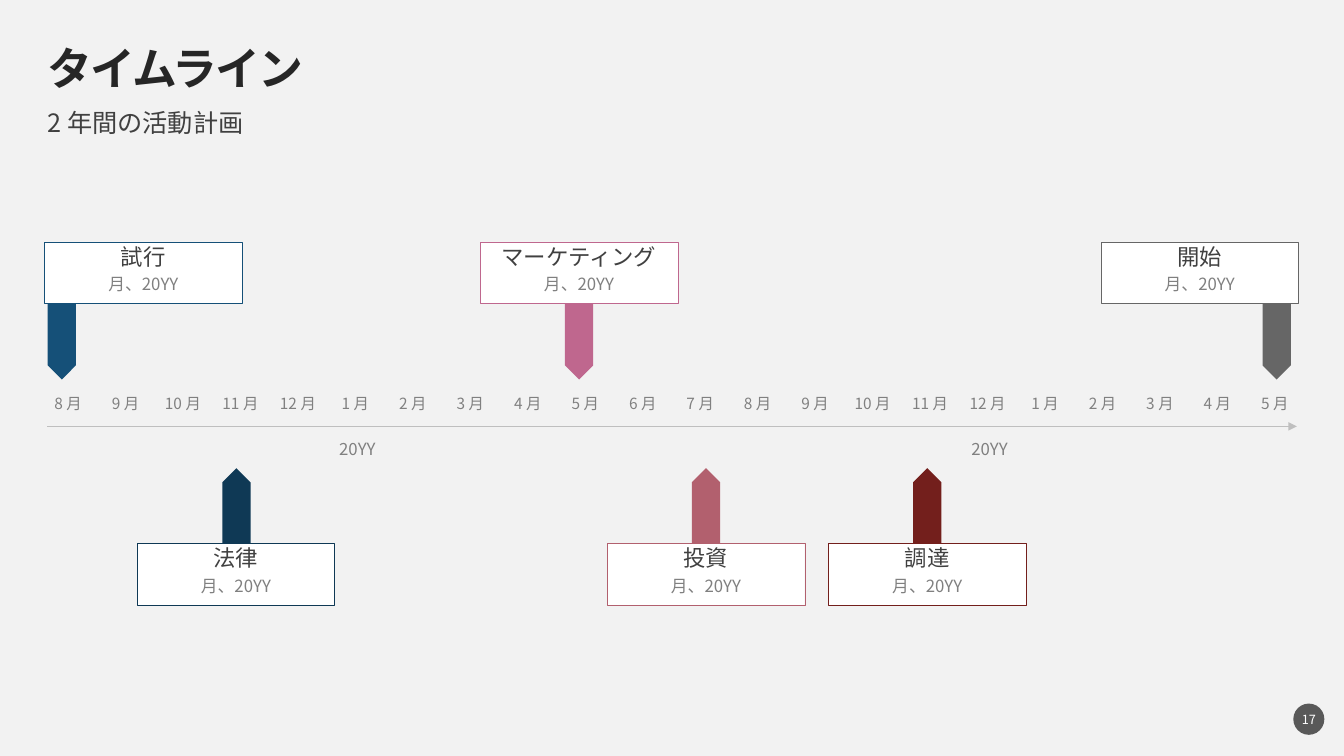
from dataclasses import dataclass

import lxml.etree
import pptx
import pptx.dml.color
import pptx.enum.shapes
import pptx.enum.text
import pptx.oxml.ns
import pptx.util

RGB = pptx.dml.color.RGBColor
SHAPE = pptx.enum.shapes.MSO_SHAPE
ALIGN = pptx.enum.text.PP_ALIGN
ANCHOR = pptx.enum.text.MSO_ANCHOR
qn = pptx.oxml.ns.qn

FONT = "Noto Sans CJK JP"
MARGIN, COL, ROW = 0.47, 0.57, 0.25

BACKGROUND = RGB(0xF2, 0xF2, 0xF2)
WHITE = RGB(0xFF, 0xFF, 0xFF)
INK = RGB(0x26, 0x26, 0x26)
DARK = RGB(0x40, 0x40, 0x40)
BADGE = RGB(0x59, 0x59, 0x59)
MUTED = RGB(0x80, 0x80, 0x80)
AXIS = RGB(0xBF, 0xBF, 0xBF)
BLUE = RGB(0x15, 0x50, 0x78)
NAVY = RGB(0x0F, 0x39, 0x55)
PINK = RGB(0xBF, 0x67, 0x8E)
ROSE = RGB(0xB2, 0x60, 0x6E)
MAROON = RGB(0x73, 0x1F, 0x1C)
GRAY = RGB(0x66, 0x66, 0x66)


@dataclass(frozen=True)
class Area:
    col: float
    row: float
    cols: float
    rows: float

    def emu(self) -> tuple:
        return x_at(self.col), y_at(self.row), wide(self.cols), y_at(self.rows)


@dataclass(frozen=True)
class Style:
    size: float
    color: RGB
    align: ALIGN = ALIGN.CENTER
    anchor: ANCHOR = ANCHOR.TOP
    bold: bool = False
    tracking: float = 0
    line: float = 0.9
    before: float = 10


@dataclass(frozen=True)
class Lane:
    box_row: float
    pointer_row: float
    rotation: int


@dataclass(frozen=True)
class Milestone:
    name: str
    color: RGB
    lane: Lane
    box_col: float
    pointer_col: float


TITLE = Style(32, INK, ALIGN.LEFT, ANCHOR.MIDDLE, True, -1.5, before=0)
SUBTITLE = Style(18, DARK, ALIGN.LEFT)
MONTH = Style(11, MUTED)
YEAR = Style(12, MUTED, anchor=ANCHOR.MIDDLE)
NAME = Style(16, DARK)
DATE = Style(12, MUTED)
NUMBER = Style(9, WHITE, anchor=ANCHOR.MIDDLE, line=1, before=0)

ABOVE = Lane(9.6, 13.56, 90)
BELOW = Lane(21.56, 20.08, 270)
BOX_COLS, BOX_ROWS = 3.44, 2.44
DATE_COLS, DATE_DROP = 3.24, 1.36
POINTER_LENGTH, POINTER_WIDTH = 3, 0.49
FIRST_MONTH, MONTH_COUNT = 8, 22
YEAR_COLS = (5, 16)

MILESTONES = (
    Milestone("試行", BLUE, ABOVE, -0.05, 0.25),
    Milestone("法律", NAVY, BELOW, 1.56, 3.29),
    Milestone("マーケティング", PINK, ABOVE, 7.53, 9.25),
    Milestone("投資", ROSE, BELOW, 9.74, 11.46),
    Milestone("調達", MAROON, BELOW, 13.59, 15.31),
    Milestone("開始", GRAY, ABOVE, 18.33, 21.39),
)


def x_at(col: float) -> int:
    return pptx.util.Inches(MARGIN + col * COL)


def wide(cols: float) -> int:
    return pptx.util.Inches(cols * COL)


def y_at(row: float) -> int:
    return pptx.util.Inches(row * ROW)


def write(sp, text: str, style: Style, top_inset: float = 0) -> None:
    tf = sp.text_frame
    tf.word_wrap = True
    tf.vertical_anchor = style.anchor
    tf.margin_left = tf.margin_right = tf.margin_bottom = 0
    tf.margin_top = pptx.util.Inches(top_inset)
    p = tf.paragraphs[0]
    p.alignment = style.align
    p.line_spacing = style.line
    p.space_before = pptx.util.Pt(style.before)
    r = p.add_run()
    r.text = text
    r.font.name = FONT
    r.font.size = pptx.util.Pt(style.size)
    r.font.bold = style.bold
    r.font.color.rgb = style.color
    props = r.font._element
    lxml.etree.SubElement(props, qn("a:ea")).set("typeface", FONT)
    if style.tracking:
        props.set("spc", str(int(style.tracking * 100)))


def add_text(s, area: Area, text: str, style: Style) -> None:
    write(s.shapes.add_textbox(*area.emu()), text, style)


def add_filled(s, kind: SHAPE, place: tuple, fill: RGB):
    sp = s.shapes.add_shape(kind, *place)
    sp.shadow.inherit = False
    sp.fill.solid()
    sp.fill.fore_color.rgb = fill
    sp.line.fill.background()
    return sp


def add_axis(s) -> None:
    y = y_at(16.92)
    line = s.shapes.add_connector(
        pptx.enum.shapes.MSO_CONNECTOR.STRAIGHT, x_at(0), y, x_at(21.74), y)
    line.line.color.rgb = AXIS
    line.line.width = pptx.util.Pt(0.5)
    ln = line.line._get_or_add_ln()
    lxml.etree.SubElement(ln, qn("a:tailEnd")).set("type", "triangle")
    lxml.etree.SubElement(line._element.spPr, qn("a:effectLst"))


def add_milestone(s, m: Milestone) -> None:
    length, width = y_at(POINTER_LENGTH), wide(POINTER_WIDTH)
    left = x_at(m.pointer_col) - length // 2
    top = y_at(m.lane.pointer_row) - width // 2
    pointer = add_filled(s, SHAPE.PENTAGON, (left, top, length, width), m.color)
    pointer.rotation = m.lane.rotation

    area = Area(m.box_col, m.lane.box_row, BOX_COLS, BOX_ROWS)
    box = add_filled(s, SHAPE.RECTANGLE, area.emu(), WHITE)
    box.line.color.rgb = m.color
    box.line.width = pptx.util.Pt(0.25)
    write(box, m.name, NAME, 0.04)

    inset = (BOX_COLS - DATE_COLS) / 2
    add_text(s, Area(m.box_col + inset, m.lane.box_row + DATE_DROP, DATE_COLS, 1),
             "月、20YY", DATE)


def main() -> None:
    prs = pptx.Presentation()
    prs.slide_width = pptx.util.Inches(13.33)
    prs.slide_height = pptx.util.Inches(7.5)
    s = prs.slides.add_slide(prs.slide_layouts[6])
    s.background.fill.solid()
    s.background.fill.fore_color.rgb = BACKGROUND

    add_text(s, Area(0, 1.88, 21.74, 1.88), "タイムライン", TITLE)
    add_text(s, Area(0, 4.4, 21.74, 1.12), "2 年間の活動計画", SUBTITLE)
    add_axis(s)
    for col in range(MONTH_COUNT):
        month = (FIRST_MONTH - 1 + col) % 12 + 1
        add_text(s, Area(col, 15.72, 0.72, 0.88), f"{month} 月", MONTH)
    for col in YEAR_COLS:
        add_text(s, Area(col, 17.4, 0.79, 0.88), "20YY", YEAR)
    for milestone in MILESTONES:
        add_milestone(s, milestone)
    badge = add_filled(s, SHAPE.OVAL, Area(21.68, 27.92, 0.54, 1.24).emu(), BADGE)
    write(badge, "17", NUMBER)

    prs.save("out.pptx")


if __name__ == "__main__":
    main()
